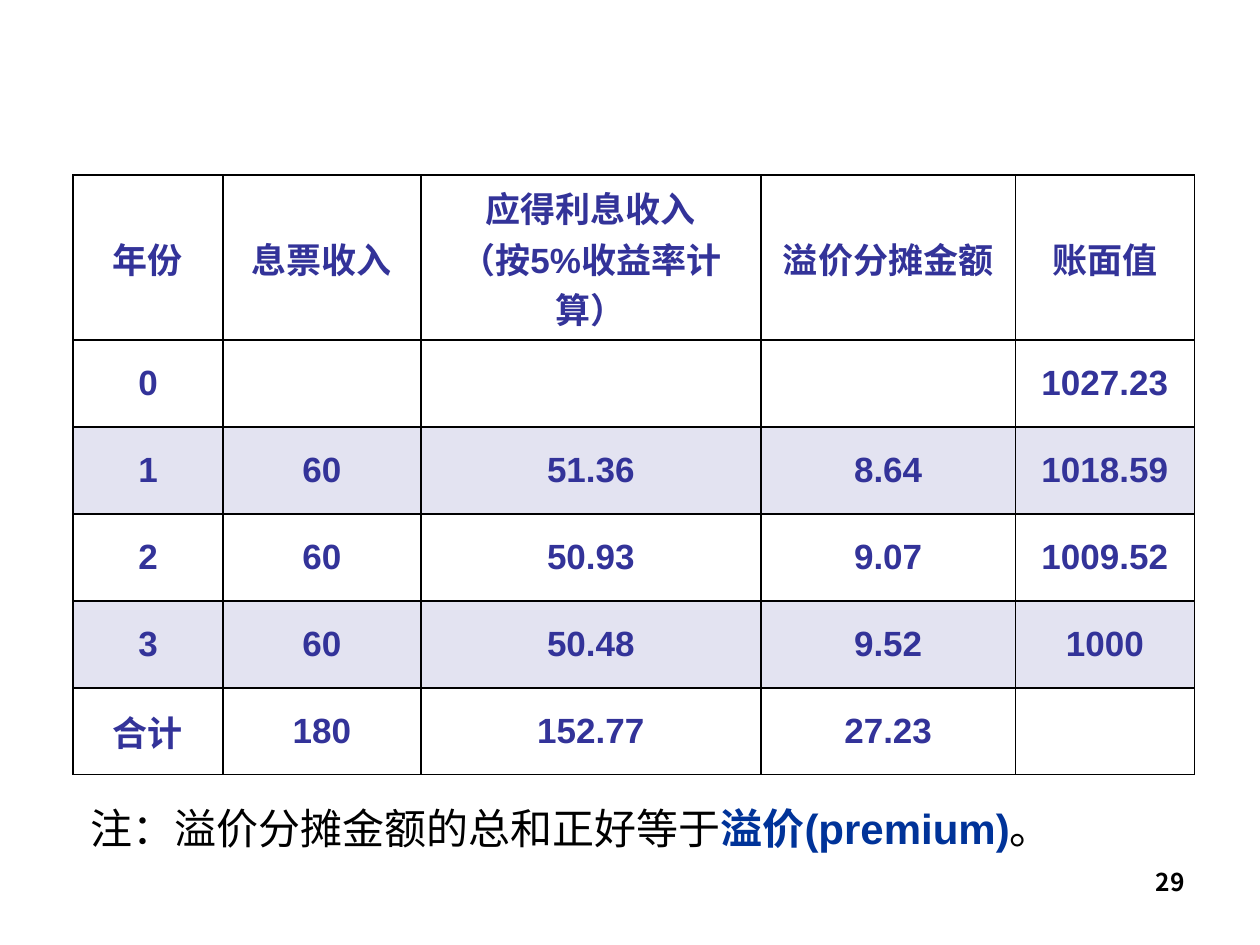
from lxml import etree
from pptx import Presentation
from pptx.dml.color import RGBColor
from pptx.enum import text
from pptx.oxml.ns import qn
from pptx.util import Inches, Pt

THEME = {
    "latin": "Arial", "cjk": "Noto Sans CJK SC",
    "ink": "000000", "figures": "333399", "accent": "003399",
    "plain": "FFFFFF", "band": "E3E3F1",
    "table_size": 20, "note_size": 24, "number_size": 14,
}


def style(run, size, color, bold, latin="latin"):
    font = run.font
    font.size = Pt(THEME[size])
    font.bold = bold
    font.color.rgb = RGBColor.from_string(THEME[color])
    font.name = THEME[latin]
    etree.SubElement(font._element, qn("a:ea"), typeface=THEME["cjk"])


def add_borders(cell):
    properties = cell._tc.get_or_add_tcPr()
    for position, side in enumerate(("a:lnL", "a:lnR", "a:lnT", "a:lnB")):
        line = etree.Element(qn(side), w=str(Pt(1)))
        fill = etree.SubElement(line, qn("a:solidFill"))
        etree.SubElement(fill, qn("a:srgbClr"), val=THEME["ink"])
        properties.insert(position, line)


deck = Presentation()
deck.slide_width, deck.slide_height = Inches(10), Inches(7.5)
slide = deck.slides.add_slide(deck.slide_layouts[6])

page_number = slide.shapes.add_textbox(Inches(7.17), Inches(6.83), Inches(2.33), Inches(0.5)).text_frame
page_number.word_wrap = True
page_number.text = "29"
page_number.paragraphs[0].alignment = text.PP_ALIGN.RIGHT
style(page_number.paragraphs[0].runs[0], "number_size", "ink", True, "cjk")

rows = [
    ["年份", "息票收入", "应得利息收入\n（按5%收益率计算）", "溢价分摊金额", "账面值"],
    ["0", "", "", "", "1027.23"],
    ["1", "60", "51.36", "8.64", "1018.59"],
    ["2", "60", "50.93", "9.07", "1009.52"],
    ["3", "60", "50.48", "9.52", "1000"],
    ["合计", "180", "152.77", "27.23", ""],
]
widths = [1.19, 1.57, 2.7, 2.02, 1.42]
header_height, row_height = 1.31, 0.69

amortization = slide.shapes.add_table(
    len(rows), len(widths), Inches(0.58), Inches(1.39),
    Inches(sum(widths)), Inches(header_height + row_height * (len(rows) - 1))).table
for column, width in zip(amortization.columns, widths):
    column.width = Inches(width)

for r, values in enumerate(rows):
    amortization.rows[r].height = Inches(row_height if r else header_height)
    banded = r in (2, 4)
    for c, value in enumerate(values):
        cell = amortization.cell(r, c)
        cell.fill.solid()
        cell.fill.fore_color.rgb = RGBColor.from_string(THEME["band" if banded else "plain"])
        add_borders(cell)
        cell.vertical_anchor = text.MSO_ANCHOR.MIDDLE
        cell.text_frame.text = value
        for paragraph in cell.text_frame.paragraphs:
            paragraph.alignment = text.PP_ALIGN.CENTER
            for run in paragraph.runs:
                style(run, "table_size", "figures", True)

note = slide.shapes.add_textbox(Inches(0.62), Inches(6.32), Inches(8.82), Inches(0.5)).text_frame
note.word_wrap = True
for wording, color, bold in [
    ("注：溢价分摊金额的总和正好等于", "ink", False),
    ("溢价(premium)", "accent", True),
    ("。", "ink", False),
]:
    run = note.paragraphs[0].add_run()
    run.text = wording
    style(run, "note_size", color, bold)

deck.save("out.pptx")
